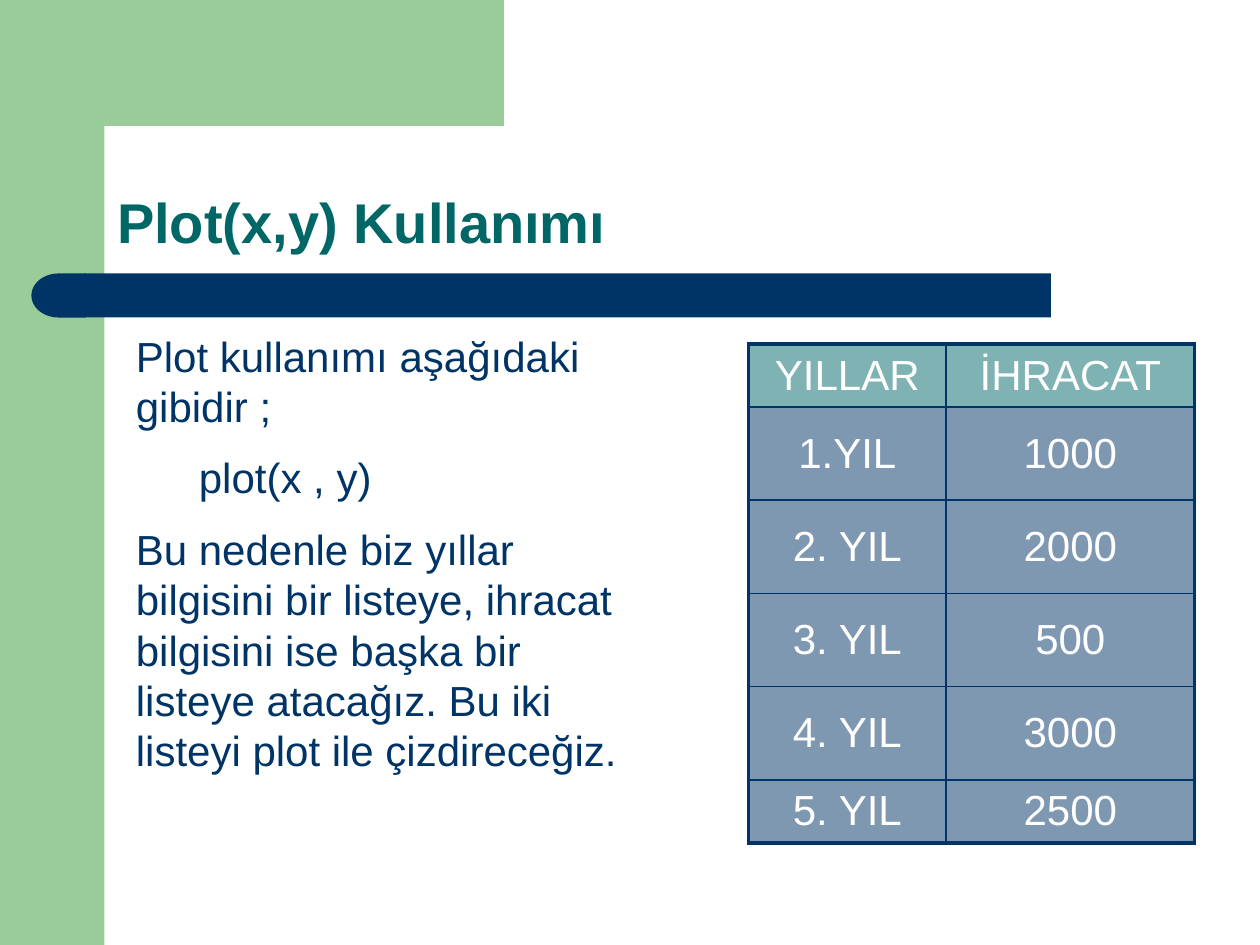
from lxml import etree
from pptx import Presentation
from pptx.dml.color import RGBColor
from pptx.enum.shapes import MSO_SHAPE
from pptx.enum.text import MSO_ANCHOR, PP_ALIGN
from pptx.oxml.ns import qn
from pptx.util import Inches, Pt

RECTANGLE, DELAY = MSO_SHAPE.RECTANGLE, MSO_SHAPE.FLOWCHART_DELAY
LEFT, CENTER = PP_ALIGN.LEFT, PP_ALIGN.CENTER
TOP, MIDDLE, BOTTOM = MSO_ANCHOR.TOP, MSO_ANCHOR.MIDDLE, MSO_ANCHOR.BOTTOM

GREEN, NAVY, TEAL, WHITE = "99CC99", "003366", "006666", "FFFFFF"
FONT = "Arial"
THIN, THICK = 1, 2.25

CORNER = [(3.5, 0), (3.5, 0.83), (1.16, 0.83), (1.1, 0.84), (1.03, 0.85),
          (0.98, 0.88), (0.93, 0.92), (0.89, 0.98), (0.86, 1.04),
          (0.84, 1.1), (0.83, 1.16), (0.83, 1.28), (0.5, 1.28), (0.5, 0)]
BODY = ["Plot kullanımı aşağıdaki gibidir ;",
        "\tplot(x , y)",
        "Bu nedenle biz yıllar bilgisini bir listeye, ihracat bilgisini ise "
        "başka bir listeye atacağız. Bu iki listeyi plot ile çizdireceğiz."]
EXPORTS = [("YILLAR", "İHRACAT"), ("1.YIL", "1000"), ("2. YIL", "2000"),
           ("3. YIL", "500"), ("4. YIL", "3000"), ("5. YIL", "2500")]
COLUMN_WIDTHS = [1.57, 1.97]
ROW_HEIGHTS = [0.5] + [0.74] * 4 + [0.5]


def color(value):
    return RGBColor.from_string(value)


def write_text(frame, paragraphs, size=24, fill=NAVY, bold=False, align=LEFT,
               anchor=TOP, line_spacing=None, gap=0):
    """Fill a text frame; gap is the space in points between paragraphs."""
    frame.word_wrap = True
    frame.vertical_anchor = anchor
    for index, text in enumerate(paragraphs):
        paragraph = frame.add_paragraph() if index else frame.paragraphs[0]
        paragraph.alignment = align
        paragraph.space_before = Pt(gap if index else 0)
        if line_spacing:
            paragraph.line_spacing = line_spacing
        run = paragraph.add_run()
        run.text = text
        run.font.name, run.font.size, run.font.bold = FONT, Pt(size), bold
        run.font.color.rgb = color(fill)


def paint(shape, fill):
    shape.shadow.inherit = False
    shape.fill.solid()
    shape.fill.fore_color.rgb = color(fill)
    shape.line.fill.background()


def add_block(slide, kind, left, top, width, height, fill):
    shape = slide.shapes.add_shape(kind, Inches(left), Inches(top),
                                   Inches(width), Inches(height))
    paint(shape, fill)
    return shape


def add_outline(slide, points, fill):
    builder = slide.shapes.build_freeform(*points[0], scale=Inches(1))
    builder.add_line_segments(points[1:], close=True)
    paint(builder.convert_to_shape(), fill)


def add_decoration(slide):
    add_block(slide, RECTANGLE, 0, 0, 0.83, 7.5, GREEN)
    add_outline(slide, CORNER, GREEN)
    add_block(slide, RECTANGLE, 0.67, 2.17, 7.67, 0.35, NAVY)
    cap = add_block(slide, DELAY, 0.25, 2.17, 0.43, 0.35, NAVY)
    cap.element.spPr.find(qn("a:xfrm")).set("flipH", "1")


def place_title(slide):
    title = slide.shapes.title
    title.left, title.top = Inches(0.83), Inches(0.83)
    title.width, title.height = Inches(8.67), Inches(1.25)
    write_text(title.text_frame, ["Plot(x,y) Kullanımı"], size=32, fill=TEAL,
               bold=True, anchor=BOTTOM, line_spacing=0.9)
    # Bring the title in front of the decoration
    title.element.getparent().append(title.element)


def add_body(slide):
    box = slide.shapes.add_textbox(Inches(0.98), Inches(2.57),
                                   Inches(4.25), Inches(3.69))
    write_text(box.text_frame, BODY, gap=12)


def style_cell(cell, fill, borders):
    """Set border widths by side and a half-transparent fill."""
    properties = cell._tc.get_or_add_tcPr()
    for side, width in borders.items():
        line = etree.SubElement(properties, qn(f"a:ln{side}"), w=str(Pt(width)))
        solid = etree.SubElement(line, qn("a:solidFill"))
        etree.SubElement(solid, qn("a:srgbClr"), val=NAVY)
    cell.fill.solid()
    cell.fill.fore_color.rgb = color(fill)
    tint = properties.find(qn("a:solidFill")).find(qn("a:srgbClr"))
    etree.SubElement(tint, qn("a:alpha"), val="50000")


def add_export_table(slide):
    rows, columns = len(EXPORTS), len(COLUMN_WIDTHS)
    table = slide.shapes.add_table(
        rows, columns, Inches(5.94), Inches(2.73),
        Inches(sum(COLUMN_WIDTHS)), Inches(sum(ROW_HEIGHTS))).table
    table.first_row = table.horz_banding = False
    for column, width in zip(table.columns, COLUMN_WIDTHS):
        column.width = Inches(width)
    for row, height in zip(table.rows, ROW_HEIGHTS):
        row.height = Inches(height)
    for r, values in enumerate(EXPORTS):
        for c, text in enumerate(values):
            cell = table.cell(r, c)
            on_edge = {"L": c == 0, "R": c == columns - 1,
                       "T": r == 0, "B": r == rows - 1}
            borders = {side: THICK if outer else THIN
                       for side, outer in on_edge.items()}
            style_cell(cell, NAVY if r else TEAL, borders)
            write_text(cell.text_frame, [text], fill=WHITE, align=CENTER)
            cell.vertical_anchor = MIDDLE


def main():
    presentation = Presentation()
    presentation.slide_width, presentation.slide_height = Inches(10), Inches(7.5)
    slide = presentation.slides.add_slide(presentation.slide_layouts[5])
    add_decoration(slide)
    place_title(slide)
    add_body(slide)
    add_export_table(slide)
    presentation.save("out.pptx")


if __name__ == "__main__":
    main()
